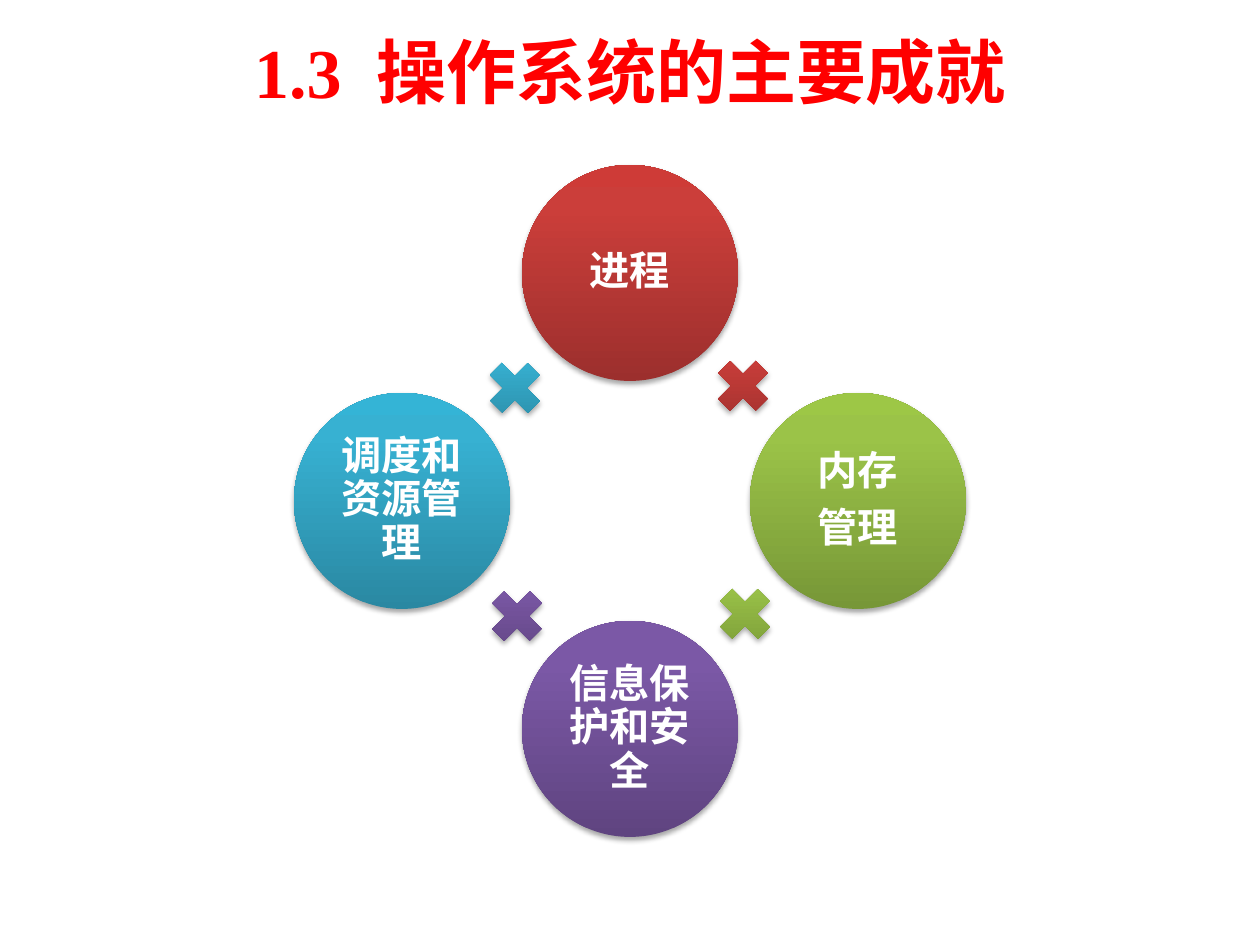
from lxml import etree
from pptx import Presentation, util as u
from pptx.dml.color import RGBColor
from pptx.enum import shapes, text
from pptx.oxml.ns import qn

PX = 914400 // 126
TITLE = "1.3", " ", "操作系统的主要成就"
WIDE = 1000  # extra spacing after the section number, 1/100 pt
COLORS = {
    "title": "FF0000",
    "label": "FFFFFF",
    "shade": "000000",
    "red": ("9C2F2D", "CB3E3A", "CE3B37"),
    "green": ("779737", "9BC348", "9DC746"),
    "violet": ("5F4480", "7B58A6", "7C57A8"),
    "blue": ("2A88A2", "37B1D2", "34B4D6"),
}
# clockwise from the top
TOPICS = [
    ("red", ["进程"]),
    ("green", ["内存", "管理"]),
    ("violet", ["信息保护和安全"]),
    ("blue", ["调度和资源管理"]),
]
MID = (630, 501)
DISC, DISC_AT = (216, 216), (0, -228)
PLUS, PLUS_AT = (72, 73), (113, -115)


def write(frame, paras, size, font, color, inset=None, spacing=None, after=None):
    """Fill a frame with bold centred paragraphs, each a list of runs."""
    frame.word_wrap = True
    frame.vertical_anchor = text.MSO_ANCHOR.MIDDLE
    if inset is not None:
        frame.margin_left = frame.margin_right = inset * PX
        frame.margin_top = frame.margin_bottom = inset * PX
    for i, runs in enumerate(paras):
        para = frame.add_paragraph() if i else frame.paragraphs[0]
        para.alignment = text.PP_ALIGN.CENTER
        if spacing:
            para.line_spacing = spacing
        if after:
            para.space_after = u.Pt(after)
        for words in runs:
            run = para.add_run()
            run.text = words
            run.font.size = u.Pt(size)
            run.font.name = font
            run.font.bold = True
            run.font.color.rgb = RGBColor.from_string(color)


def tint(parent, color):
    return etree.SubElement(parent, qn("a:srgbClr"), val=color)


def shade(shape, hues):
    """Give a shape an upward gradient, no outline and a soft drop shadow."""
    props = shape._element.spPr
    grad = etree.SubElement(props, qn("a:gradFill"), rotWithShape="0")
    stops = etree.SubElement(grad, qn("a:gsLst"))
    for pos, hue in zip((0, 80, 100), hues):
        tint(etree.SubElement(stops, qn("a:gs"), pos=str(pos * 1000)), hue)
    etree.SubElement(grad, qn("a:lin"), ang=str(270 * 60000), scaled="0")
    shape.line.fill.background()
    shape.shadow.inherit = False
    drop = etree.SubElement(
        props.find(qn("a:effectLst")), qn("a:outerShdw"),
        blurRad=str(u.Pt(3.1)), dist=str(u.Pt(1.8)),
        dir=str(90 * 60000), rotWithShape="0")
    etree.SubElement(tint(drop, COLORS["shade"]), qn("a:alpha"), val="35000")


def place(slide, kind, size, shift, turns, hue):
    """Add a shape, its shift from the middle turned by quarter circles."""
    x, y = shift
    for _ in range(turns):
        x, y = -y, x
    (w, h), (mx, my) = size, MID
    left, top = round((mx + x - w / 2) * PX), round((my + y - h / 2) * PX)
    shape = slide.shapes.add_shape(kind, left, top, w * PX, h * PX)
    shade(shape, COLORS[hue])
    return shape


def main():
    deck = Presentation()
    deck.slide_width, deck.slide_height = 1260 * PX, 945 * PX
    slide = deck.slides.add_slide(deck.slide_layouts[6])

    title = slide.shapes.add_textbox(63 * PX, 6 * PX, 1134 * PX, 129 * PX)
    write(title.text_frame, [TITLE], 40, "Times New Roman", COLORS["title"])
    gap = title.text_frame.paragraphs[0].runs[1]
    gap.font._element.set("spc", str(WIDE))

    kinds = shapes.MSO_SHAPE
    for turn, (hue, lines) in enumerate(TOPICS):
        disc = place(slide, kinds.OVAL, DISC, DISC_AT, turn, hue)
        write(disc.text_frame, [[line] for line in lines], 23, "Calibri",
              COLORS["label"], inset=4, spacing=0.9, after=8)
        plus = place(slide, kinds.MATH_PLUS, PLUS, PLUS_AT, turn, hue)
        plus.rotation = 45 + 90 * turn

    deck.save("out.pptx")


if __name__ == "__main__":
    main()
